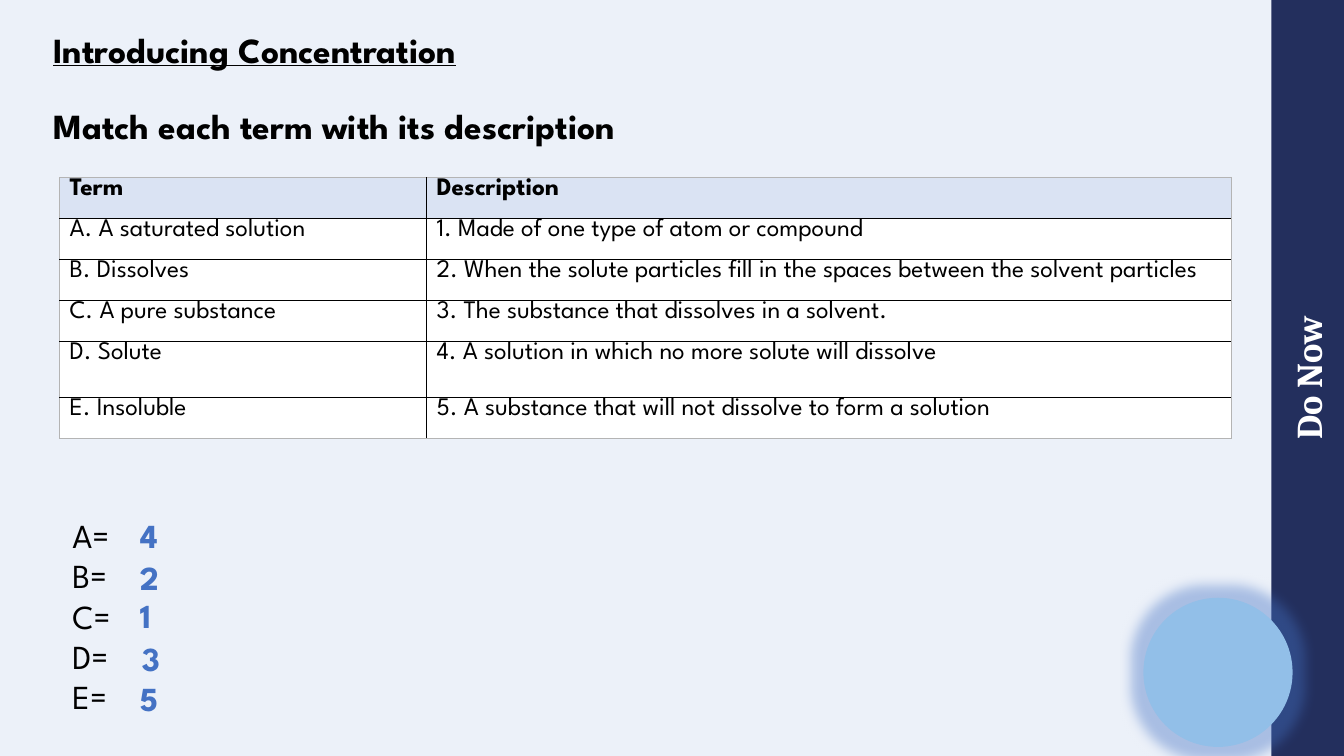
from lxml.etree import SubElement
from pptx import Presentation
from pptx.dml.color import RGBColor
from pptx.enum.shapes import MSO_SHAPE as Preset
from pptx.enum.text import MSO_ANCHOR as Anchor, PP_ALIGN as Align
from pptx.oxml.ns import qn
from pptx.util import Inches, Pt

# Grid: square cells of a tenth of an inch
CELL = Inches(0.1)
COLUMNS, ROWS = 133.3, 75

PALE_BLUE = RGBColor(0xEC, 0xF1, 0xF9)
NAVY = RGBColor(0x23, 0x2F, 0x5D)
SKY = RGBColor(0x92, 0xBF, 0xE8)
BLUE = RGBColor(0x44, 0x72, 0xC4)
HEADER_BLUE = RGBColor(0xDA, 0xE3, 0xF3)
WHITE = RGBColor(0xFF, 0xFF, 0xFF)
BLACK = RGBColor(0x00, 0x00, 0x00)
GREY = RGBColor(0xB4, 0xB4, 0xB4)

BODY_FONT, SIDEBAR_FONT = "League Spartan", "Cambria"

MATCHES = [
    ("Term", "Description"),
    ("A. A saturated solution", "1. Made of one type of atom or compound"),
    ("B. Dissolves", "2. When the solute particles fill in the spaces between the solvent particles"),
    ("C. A pure substance", "3. The substance that dissolves in a solvent."),
    ("D. Solute", "4. A solution in which no more solute will dissolve"),
    ("E. Insoluble", "5. A substance that will not dissolve to form a solution"),
]
TERM_WIDTH, DESCRIPTION_WIDTH = 36.4, 79.8
ROW_HEIGHTS = [4.07, 4.07, 4.07, 4.07, 5.6, 4.07]

# Answer, left, top, width
ANSWERS = [
    ("4", 12.9, 50.6, 3.5),
    ("2", 12.9, 54.8, 6.7),
    ("1", 12.9, 58.5, 5.6),
    ("3", 13.1, 62.8, 6.7),
    ("5", 12.9, 66.8, 6.7),
]


def grid(*cells):
    return [round(cell * CELL) for cell in cells]


def set_all(target, values):
    for key, value in values.items():
        setattr(target, key, value)


def style(paragraph, size, color=BLACK, name=BODY_FONT, bold=False, underline=False):
    font = paragraph.font
    set_all(font, {"size": Pt(size), "name": name, "bold": bold, "underline": underline})
    font.color.rgb = color


def add_block(slide, place, preset, color):
    block = slide.shapes.add_shape(preset, *grid(*place))
    block.shadow.inherit = False
    block.fill.solid()
    block.fill.fore_color.rgb = color
    block.line.fill.background()
    return block


def add_lines(slide, place, lines, size, color=BLACK, bold=False, wrap=True):
    frame = slide.shapes.add_textbox(*grid(*place)).text_frame
    frame.word_wrap = wrap
    frame.text = "\n".join(lines)
    for line in frame.paragraphs:
        style(line, size, color, bold=bold)
    return frame


def add_sidebar(slide):
    length, thickness = ROWS, 7.2
    place = (COLUMNS - (length + thickness) / 2, (ROWS - thickness) / 2, length, thickness)
    sidebar = add_block(slide, place, Preset.RECTANGLE, NAVY)
    sidebar.rotation = 270
    frame = sidebar.text_frame
    set_all(frame, {"text": "Do Now", "vertical_anchor": Anchor.MIDDLE, "margin_left": 0,
                    "margin_right": 0, "margin_top": 0, "margin_bottom": 0})
    frame.paragraphs[0].alignment = Align.CENTER
    style(frame.paragraphs[0], 26, WHITE, SIDEBAR_FONT, bold=True)


def add_glowing_circle(slide):
    circle = add_block(slide, (113.4, 59.3, 14.8, 14.8), Preset.OVAL, SKY)
    effects = circle._element.spPr.find(qn("a:effectLst"))
    glow = SubElement(effects, qn("a:glow"), rad=str(Pt(18)))
    tint = SubElement(glow, qn("a:srgbClr"), val=str(BLUE))
    SubElement(tint, qn("a:alpha"), val="40000")


def add_border(cell, side, color, width):
    line = SubElement(cell._tc.get_or_add_tcPr(), qn(f"a:ln{side}"), w=str(Pt(width)))
    fill = SubElement(line, qn("a:solidFill"))
    SubElement(fill, qn("a:srgbClr"), val=str(color))


def fill_cell(cell, text, is_header, outer_sides):
    set_all(cell, {"text": text, "vertical_anchor": Anchor.TOP,
                   "margin_top": 0, "margin_bottom": 0})
    style(cell.text_frame.paragraphs[0], 18, bold=is_header)
    for side in "LRTB":
        add_border(cell, side, *((GREY, 0.5) if side in outer_sides else (BLACK, 1)))
    cell.fill.solid()
    cell.fill.fore_color.rgb = HEADER_BLUE if is_header else WHITE


def add_match_table(slide):
    place = grid(5.9, 17.6, TERM_WIDTH + DESCRIPTION_WIDTH, sum(ROW_HEIGHTS))
    table = slide.shapes.add_table(len(MATCHES), 2, *place).table
    set_all(table, {"first_row": False, "horz_banding": False})
    for column, width in zip(table.columns, grid(TERM_WIDTH, DESCRIPTION_WIDTH)):
        column.width = width
    for row, height in zip(table.rows, grid(*ROW_HEIGHTS)):
        row.height = height
    last = len(MATCHES) - 1
    for r, match in enumerate(MATCHES):
        for c, text in enumerate(match):
            outer_sides = "LR"[c] + ("T" if r == 0 else "B" if r == last else "")
            fill_cell(table.cell(r, c), text, r == 0, outer_sides)


def add_heading(slide):
    heading = add_lines(slide, (5.3, 6.7, 116.1, 7.9),
                        ["Introducing Concentration", "Match each term with its description"],
                        25.2, bold=True)
    set_all(heading, {"vertical_anchor": Anchor.BOTTOM, "margin_left": 0,
                      "margin_right": 0, "margin_top": 0, "margin_bottom": 0})
    topic, task = heading.paragraphs
    topic.line_spacing = task.line_spacing = 0.9
    topic.font.underline = True
    task.space_before = Pt(27.3)


def main():
    deck = Presentation()
    deck.slide_width, deck.slide_height = grid(COLUMNS, ROWS)
    slide = deck.slides.add_slide(deck.slide_layouts[6])
    slide.background.fill.solid()
    slide.background.fill.fore_color.rgb = PALE_BLUE

    # Frame of the slide
    add_sidebar(slide)
    add_glowing_circle(slide)

    # Matching task
    add_match_table(slide)
    add_heading(slide)

    # Answers
    for answer, left, top, width in ANSWERS:
        add_lines(slide, (left, top, width, 5), [answer], 24, BLUE, bold=True)
    add_lines(slide, (6.2, 50.6, 6.8, 21.2), [f"{letter}=" for letter in "ABCDE"], 24, wrap=False)

    deck.save("out.pptx")


if __name__ == "__main__":
    main()
